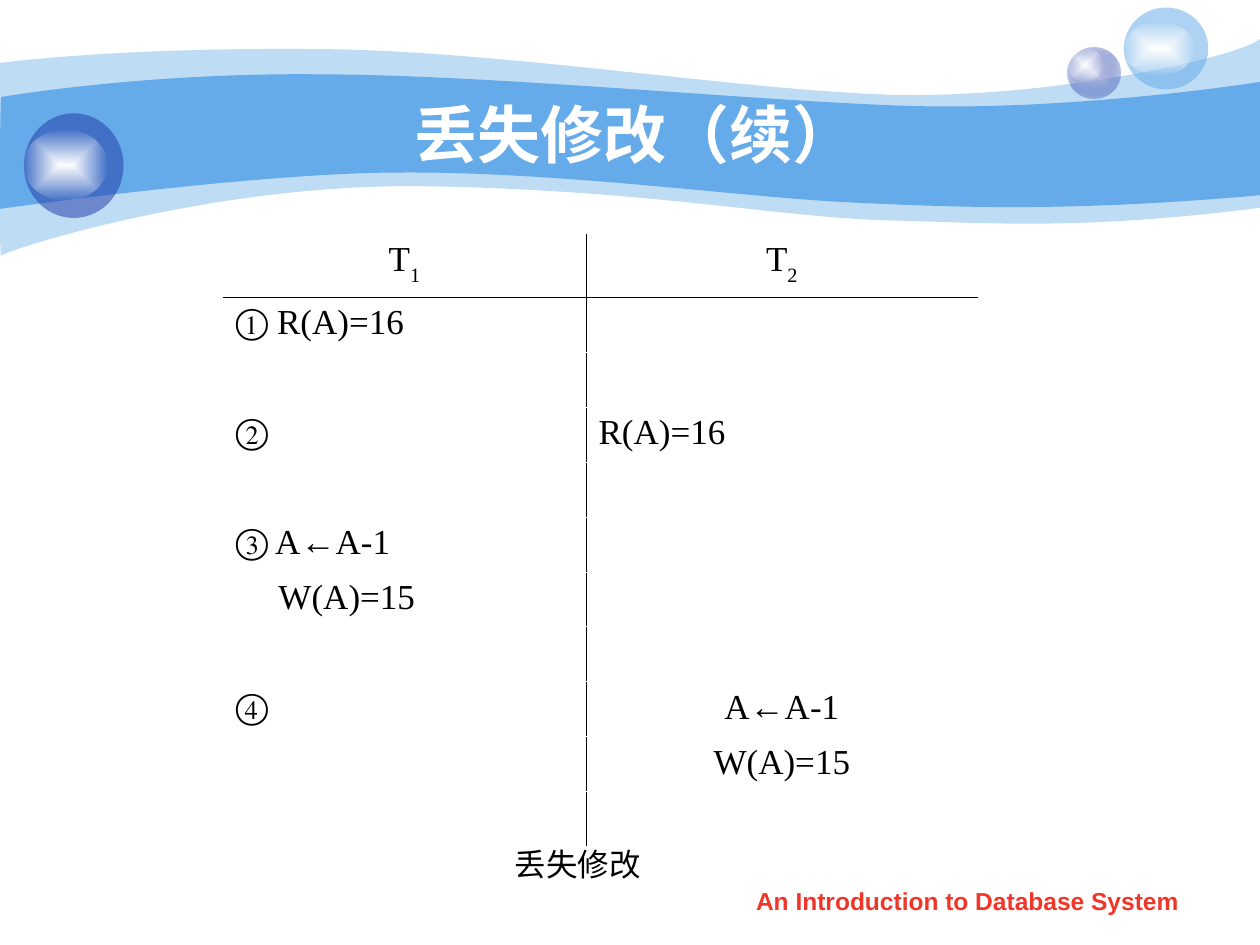
"""Builds the lost-update slide: wave banner, schedule table and captions."""
from lxml import etree
from pptx import Presentation
from pptx.dml.color import RGBColor
from pptx.enum.shapes import MSO_SHAPE
from pptx.enum.text import MSO_ANCHOR, MSO_AUTO_SIZE, PP_ALIGN
from pptx.oxml import parse_xml
from pptx.oxml.ns import nsdecls, qn
from pptx.util import Inches, Pt

OVAL = MSO_SHAPE.OVAL
TOP, MIDDLE = MSO_ANCHOR.TOP, MSO_ANCHOR.MIDDLE
GROW, FIXED = MSO_AUTO_SIZE.SHAPE_TO_FIT_TEXT, MSO_AUTO_SIZE.NONE
LEFT, CENTER = PP_ALIGN.LEFT, PP_ALIGN.CENTER
SERIF, SANS = "Times New Roman", "Arial"
BLACK, WHITE, SKY, NAVY = "000000", "FFFFFF", "65AAE9", "233DA9"
GLOW = [(WHITE, 100), (WHITE, 0)]


def paint(sp, stops):
    """Fill a shape with one colour or a centred gradient of (colour, opacity)."""
    sp.shadow.inherit = False
    sp.line.fill.background()
    sp.fill.solid()
    sp.fill.fore_color.rgb = RGBColor.from_string(stops[0][0])
    solid = sp._element.spPr.find(qn("a:solidFill"))
    if len(stops) == 1:
        if stops[0][1] < 100:
            alpha = etree.SubElement(solid[0], qn("a:alpha"))
            alpha.set("val", str(stops[0][1] * 1000))
        return
    gs = "".join(
        f'<a:gs pos="{i * 100000}"><a:srgbClr val="{color}">'
        f'<a:alpha val="{opacity * 1000}"/></a:srgbClr></a:gs>'
        for i, (color, opacity) in enumerate(stops))
    grad = parse_xml(
        f'<a:gradFill {nsdecls("a")} rotWithShape="1"><a:gsLst>{gs}</a:gsLst>'
        '<a:path path="rect"><a:fillToRect l="50000" t="50000" r="50000" '
        'b="50000"/></a:path></a:gradFill>')
    sp._element.spPr.replace(solid, grad)


def add_run(p, text, size, font, color, bold=False):
    """Append a formatted run to a paragraph and return it."""
    r = p.add_run()
    r.text = text
    r.font.size, r.font.name, r.font.bold = Pt(size), font, bold
    r.font.color.rgb = RGBColor.from_string(color)
    return r


prs = Presentation()
prs.slide_width, prs.slide_height = Inches(10), Inches(7.5)
s = prs.slides.add_slide(prs.slide_layouts[6])

waves = [
    (41, (0, 0.5), [
        [(0.24, 0.47), (1.08, 0.38), (2.47, 0.39)],
        [(3.86, 0.39), (5.75, 0.7), (6.99, 0.75)],
        [(8.22, 0.8), (9.8, 0.47), (10, 0.31)],
        [(10, 1.65)],
        [(8.58, 1.83), (7.88, 1.77), (7.05, 1.75)],
        [(6.22, 1.73), (5.15, 1.51), (3.43, 1.48)],
        [(1.72, 1.44), (0.04, 1.99), (0.01, 2.03)],
        [(-0.01, 2.08), (0, 0.75), (0, 0.5)]]),
    (100, (0.01, 0.77), [
        [(0.02, 0.77), (1.1, 0.58), (2.48, 0.59)],
        [(3.87, 0.59), (5.96, 0.8), (7.18, 0.84)],
        [(8.41, 0.88), (9.76, 0.69), (10, 0.65)],
        [(10, 1.55)],
        [(8.53, 1.68), (7.65, 1.65), (6.82, 1.61)],
        [(5.99, 1.58), (4.47, 1.36), (3.17, 1.37)],
        [(2.03, 1.37), (-0.02, 1.66), (-0.01, 1.66)],
        [(0, 1.66), (0, 0.77), (0.01, 0.77)]]),
]
for opacity, start, segments in waves:
    fb = s.shapes.build_freeform(Inches(start[0]), Inches(start[1]))
    for seg in segments:
        fb.add_line_segments([(Inches(x), Inches(y)) for x, y in seg], close=False)
    fb.add_line_segments([], close=True)
    sp = fb.convert_to_shape()
    lines = list(sp._element.iter(qn("a:lnTo")))
    for seg in segments:
        group, lines = lines[:len(seg)], lines[len(seg):]
        if len(seg) == 3:
            curve = etree.Element(qn("a:cubicBezTo"))
            group[0].addprevious(curve)
            for line in group:
                curve.append(line[0])
                line.getparent().remove(line)
    paint(sp, [(SKY, opacity)])

balls = [
    [(8.47, 0.38, 0.42, 0.4, [("C7CEE9", 100), (NAVY, 31)]),
     (8.47, 0.38, 0.28, 0.27, GLOW)],
    [(8.92, 0.06, 0.67, 0.65, [(SKY, 53)]), (8.92, 0.17, 0.56, 0.43, GLOW)],
    [(0.19, 0.9, 0.79, 0.83, [(NAVY, 53)]), (0.19, 1.03, 0.66, 0.56, GLOW)],
]
for ball in balls:
    shapes = s.shapes.add_group_shape().shapes
    for x, y, w, h, stops in ball:
        paint(shapes.add_shape(OVAL, Inches(x), Inches(y), Inches(w), Inches(h)), stops)

captions = [
    (5.71, 6.98, 3.94, 0.35, "An Introduction to Database System", 14, SANS,
     "F03628", True, TOP, True, FIXED),
    (1, 0.75, 8.08, 0.62, "丢失修改（续）", 36, SANS, WHITE, True, MIDDLE, True, FIXED),
    (3.61, 6.66, 1.95, 0.4, "丢失修改", 18, SERIF, BLACK, False, TOP, False, GROW),
]
for x, y, w, h, text, size, font, color, bold, anchor, wrap, fit in captions:
    tf = s.shapes.add_textbox(Inches(x), Inches(y), Inches(w), Inches(h)).text_frame
    tf.word_wrap, tf.auto_size, tf.vertical_anchor = wrap, fit, anchor
    p = tf.paragraphs[0]
    p.alignment = CENTER
    add_run(p, text, size, font, color, bold)

rows = [("T", "T"), ("① R(A)=16", ""), ("", ""), ("②", "R(A)=16"), ("", ""),
        ("③ A←A-1", ""), ("W(A)=15", ""), ("", ""), ("④", "A←A-1"),
        ("", "W(A)=15"), ("", "")]
frame = s.shapes.add_table(len(rows), 2, Inches(1.77), Inches(1.86),
                           Inches(5.99), Inches(4.84))
table = frame.table
table.first_row = table.horz_banding = False
table.columns[0].width, table.columns[1].width = Inches(2.88), Inches(3.11)
for i, texts in enumerate(rows):
    table.rows[i].height = Inches(4.36 / 10 if i else 0.5)
    for j, text in enumerate(texts):
        cell = table.cell(i, j)
        cell.fill.background()
        p = cell.text_frame.paragraphs[0]
        p.alignment = CENTER if i == 0 or (j == 1 and i >= 8) else LEFT
        if (i, j) == (6, 0):
            p._p.get_or_add_pPr().set("marL", str(Inches(0.34)))
        if text:
            add_run(p, text, 20, SERIF, BLACK)
        else:
            p.font.size = Pt(18)
        if i == 0:
            sub = add_run(p, str(j + 1), 20, SERIF, BLACK)
            sub.font._element.set("baseline", "-30000")
        borders = [("L", BLACK if j else WHITE),
                   ("T", BLACK if i == 1 else WHITE),
                   ("B", BLACK if i == 0 else WHITE)]
        if j == 0:
            borders.insert(1, ("R", BLACK))
        for k, (side, color) in enumerate(borders):
            cell._tc.tcPr.insert(k, parse_xml(
                f'<a:ln{side} {nsdecls("a")} w="{Pt(0.45)}"><a:solidFill>'
                f'<a:srgbClr val="{color}"/></a:solidFill></a:ln{side}>'))

prs.save("out.pptx")
